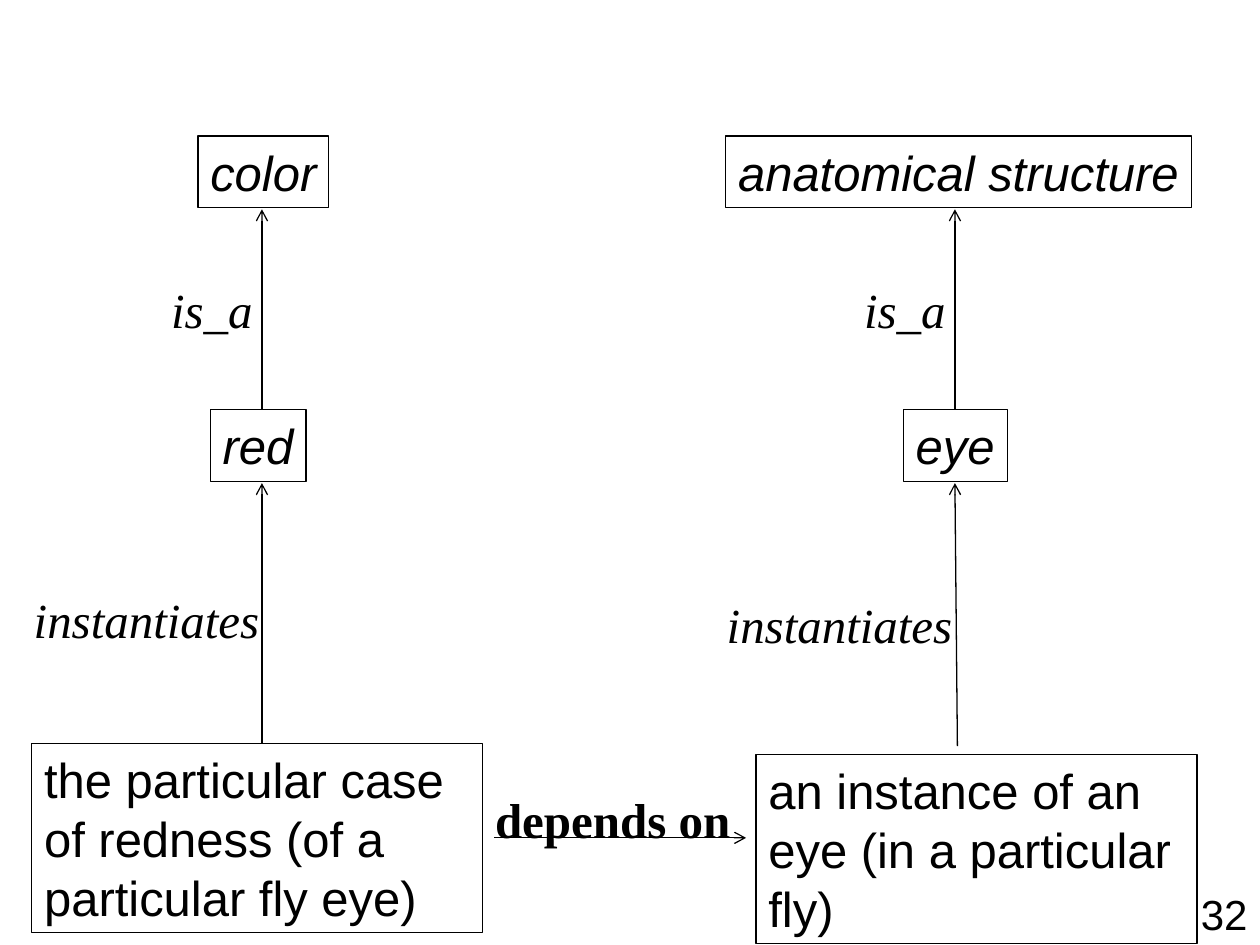
from dataclasses import dataclass

from lxml import etree
from pptx import Presentation
from pptx.dml.color import RGBColor
from pptx.enum.shapes import MSO_CONNECTOR, MSO_SHAPE
from pptx.enum.text import MSO_ANCHOR, MSO_AUTO_SIZE, PP_ALIGN
from pptx.oxml.ns import qn
from pptx.util import Cm, Pt

RECT = MSO_SHAPE.RECTANGLE
LINE = MSO_CONNECTOR.STRAIGHT
TOP = MSO_ANCHOR.TOP
FIXED = MSO_AUTO_SIZE.NONE
LEFT, RIGHT = PP_ALIGN.LEFT, PP_ALIGN.RIGHT

COLORS = {"ink": "000000"}
SANS, SERIF = "Arial", "Times New Roman"
ROW = 1.45
KIND_Y, TYPE_Y = 2.74, 8.26
STEP = 13.97
GAP = 0.03
INSET = 0.25


@dataclass
class Node:
    text: str
    left: float
    top: float
    width: float
    height: float = ROW


@dataclass
class Column:
    shift: float
    kind: Node
    type: Node
    case: Node
    verb_y: float
    foot: tuple[float, float]


COLUMNS = [
    Column(0, Node("color", 3.99, KIND_Y, 2.64), Node("red", 4.24, TYPE_Y, 1.93),
           Node("the particular case of redness (of a particular fly eye)",
                0.64, 14.99, 9.09, 3.81), 11.76, (5.28, 14.99)),
    Column(STEP, Node("anatomical structure", 14.63, KIND_Y, 9.39),
           Node("eye", 18.21, TYPE_Y, 2.1),
           Node("an instance of an eye (in a particular fly)",
                15.24, 15.21, 8.89, 3.81), 11.86, (19.3, 15.04)),
]


def ink() -> RGBColor:
    return RGBColor.from_string(COLORS["ink"])


def write(slide, node: Node, *, font=SANS, size=28, bold=False, italic=False,
          boxed=False, right=0.0, align=LEFT) -> None:
    spot = [Cm(v) for v in (node.left, node.top, node.width, node.height)]
    if boxed:
        shape = slide.shapes.add_shape(RECT, *spot)
        shape.shadow.inherit = False
        shape.fill.background()
        shape.line.color.rgb = ink()
        shape.line.width = Pt(0.75)
    else:
        shape = slide.shapes.add_textbox(*spot)
    frame = shape.text_frame
    frame.word_wrap = True
    frame.auto_size = FIXED
    frame.vertical_anchor = TOP
    frame.margin_left, frame.margin_right = Cm(INSET), Cm(right)
    para = frame.paragraphs[0]
    para.alignment = align
    run = para.add_run()
    run.text = node.text
    run.font.name = font
    run.font.size = Pt(size)
    run.font.bold = bold
    run.font.italic = italic
    run.font.color.rgb = ink()


def arrow(slide, start: tuple[float, float], end: tuple[float, float]) -> None:
    link = slide.shapes.add_connector(LINE, *[Cm(v) for v in start + end])
    link.line.color.rgb = ink()
    link.line.width = Pt(0.75)
    props = link._element.spPr
    etree.SubElement(props.get_or_add_ln(), qn("a:tailEnd"), type="arrow")
    etree.SubElement(props, qn("a:effectLst"))


def draw(slide, col: Column) -> None:
    axis = 5.28 + col.shift
    write(slide, col.kind, italic=True, boxed=True)
    write(slide, col.type, italic=True, boxed=True)
    write(slide, col.case, boxed=True, right=INSET)
    arrow(slide, (axis, TYPE_Y), (axis, KIND_Y + ROW + GAP))
    arrow(slide, col.foot, (axis, TYPE_Y + ROW + GAP))
    labels = [Node("is_a", 3.2 + col.shift, 5.51, 2.13),
              Node("instantiates", 0.43 + col.shift, col.verb_y, 5.05)]
    for label in labels:
        write(slide, label, font=SERIF, italic=True)


def main() -> None:
    deck = Presentation()
    deck.slide_width, deck.slide_height = Cm(25.4), Cm(19.05)
    slide = deck.slides.add_slide(deck.slide_layouts[6])
    for col in COLUMNS:
        draw(slide, col)
    arrow(slide, (9.96, 16.89), (15.04, 16.89))
    write(slide, Node("depends on", 9.73, 15.8, 5.69), font=SERIF, bold=True)
    write(slide, Node("32", 19.48, 17.78, 5.92, 1.27), size=24, right=INSET, align=RIGHT)
    deck.save("out.pptx")


if __name__ == "__main__":
    main()
